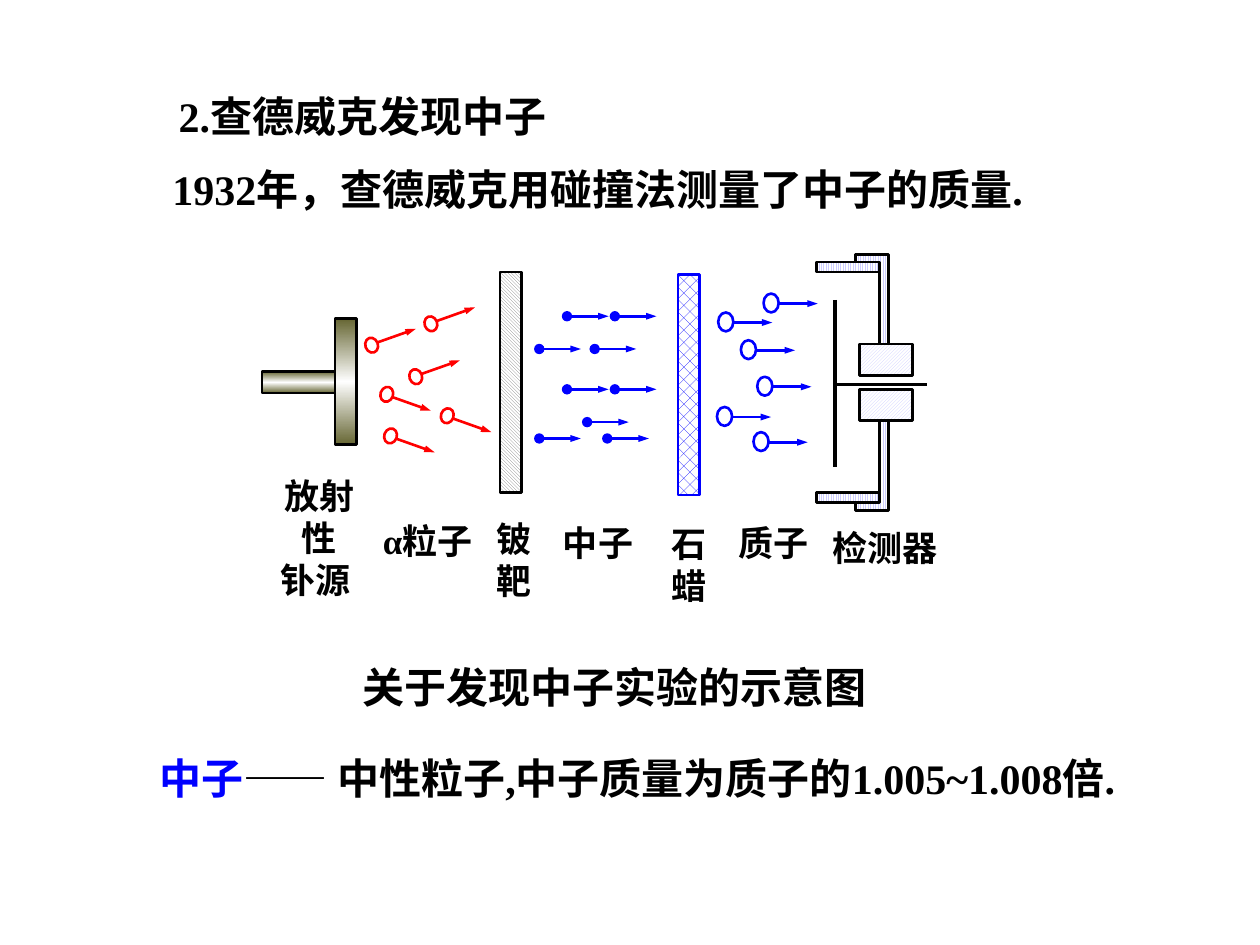
from copy import deepcopy

from pptx import Presentation
from pptx.dml.color import RGBColor
from pptx.enum.dml import MSO_PATTERN as PATTERN
from pptx.enum.shapes import MSO_CONNECTOR, MSO_SHAPE as SHAPE
from pptx.enum.text import MSO_AUTO_SIZE, PP_ALIGN as ALIGN
from pptx.oxml.ns import qn
from pptx.util import Inches, Pt
from lxml.etree import SubElement

BLACK, BLUE, RED = "000000", "0000FF", "FF0000"
color = RGBColor.from_string

presentation = Presentation()
presentation.slide_width, presentation.slide_height = Inches(10), Inches(7.5)
slide = presentation.slides.add_slide(presentation.slide_layouts[6])
shapes = slide.shapes


def style_shape(shape, line_color, pattern=None, foreground=None):
    shape.shadow.inherit = False
    shape.line.color.rgb = color(line_color)
    shape.line.width = Pt(1.5)
    if pattern is None:
        shape.fill.background()
        return
    shape.fill.patterned()
    shape.fill.pattern = pattern
    shape.fill.fore_color.rgb = color(foreground)
    shape.fill.back_color.rgb = color("FFFFFF")


def add_line(start, end, line_color, width=1.5, head=None, tail=None):
    line = shapes.add_connector(MSO_CONNECTOR.STRAIGHT, *map(Inches, start + end))
    line.line.color.rgb = color(line_color)
    line.line.width = Pt(width)
    properties = line._element.spPr
    outline = properties.find(qn("a:ln"))
    if head:
        SubElement(outline, qn("a:headEnd"), type=head)
    if tail:
        SubElement(outline, qn("a:tailEnd"), type=tail, w="sm", len="med")
    SubElement(properties, qn("a:effectLst"))


# Radioactive source: rod and plate with a metallic gradient
for box in [(2.08, 2.95, 0.58, 0.17), (2.66, 2.53, 0.17, 1)]:
    shape = shapes.add_shape(SHAPE.RECTANGLE, *map(Inches, box))
    style_shape(shape, BLACK)
    shape.fill.gradient()
    shape.fill.gradient_angle = 90
    stop_list = shape._element.spPr.find(".//" + qn("a:gsLst"))
    stop_list.insert(1, deepcopy(stop_list[0]))
    stops = zip(shape.fill.gradient_stops, (0, 0.5, 1), ("666633", "FFFFFF", "666633"))
    for stop, position, stop_color in stops:
        stop.position = position
        stop.color.rgb = color(stop_color)

# Beryllium target and paraffin slab
for left, top, line_color, pattern, foreground in [
    (3.97, 2.16, BLACK, PATTERN.LIGHT_DOWNWARD_DIAGONAL, "808080"),
    (5.38, 2.18, BLUE, PATTERN.PERCENT_30, BLUE),
]:
    shape = shapes.add_shape(SHAPE.RECTANGLE, *map(Inches, (left, top, 0.17, 1.75)))
    style_shape(shape, line_color, pattern, foreground)

# Neutrons
for x, y in [(4.88, 2.51), (4.5, 3.09), (4.88, 3.09), (4.66, 3.35), (4.28, 3.48),
             (4.5, 2.51), (4.28, 2.77), (4.72, 2.77), (4.82, 3.48)]:
    add_line((x, y), (x + 0.33, y), BLUE, head="oval", tail="triangle")

# Detector: the lower half mirrors the upper half
add_line((6.61, 3.05), (7.36, 3.05), BLACK)
for mirrored in (False, True):
    for left, top, width, height, pattern in [
        (6.82, 2.73, 0.42, 0.25, PATTERN.LIGHT_UPWARD_DIAGONAL),
        (6.48, 2.08, 0.51, 0.08, PATTERN.LIGHT_VERTICAL),
    ]:
        if mirrored:
            top = 6.07 - top - height
        shape = shapes.add_shape(SHAPE.RECTANGLE, *map(Inches, (left, top, width, height)))
        style_shape(shape, BLACK, pattern, "CCCCFF")
    corners = [(6.79, 2.02), (7.05, 2.02), (7.05, 2.73), (6.98, 2.73), (6.98, 2.08), (6.79, 2.08)]
    points = [(Inches(x), Inches(6.07 - y if mirrored else y)) for x, y in corners]
    builder = shapes.build_freeform(*points[0])
    builder.add_line_segments(points[1:], close=True)
    style_shape(builder.convert_to_shape(), BLACK, PATTERN.LIGHT_VERTICAL, "CCCCFF")
add_line((6.63, 2.38), (6.63, 3.71), BLACK, width=2.25)

# Alpha particles, heading down (1) or up (-1)
for left, top, direction in [(3.02, 3.07, 1), (3.5, 3.24, 1), (2.9, 2.68, -1),
                             (3.37, 2.51, -1), (3.05, 3.4, 1), (3.25, 2.93, -1)]:
    shape = shapes.add_shape(SHAPE.OVAL, *map(Inches, (left, top, 0.1, 0.12)))
    shape.rotation = 19.6 * direction
    style_shape(shape, RED)
    x, y = left + 0.09, top + 0.06 + 0.02 * direction
    add_line((x, y), (x + 0.31, y + 0.11 * direction), RED, tail="triangle")

# Protons
for left, top in [(5.69, 3.23), (6.01, 2.99), (5.88, 2.7), (5.7, 2.48), (6.06, 2.33), (5.98, 3.43)]:
    shape = shapes.add_shape(SHAPE.OVAL, *map(Inches, (left, top, 0.12, 0.15)))
    style_shape(shape, BLUE)
    add_line((left + 0.12, top + 0.08), (left + 0.43, top + 0.08), BLUE, tail="triangle")

# Headings, labels, caption and conclusion: box, size, alignment, paragraphs of runs
texts = [
    ((1.32, 0.67, 3.22, 0.5), 24, ALIGN.LEFT, [[("2.查德威克发现中子", BLACK)]]),
    ((1.27, 1.25, 7.15, 0.5), 24, ALIGN.LEFT, [[("1932年，查德威克用碰撞法测量了中子的质量.", BLACK)]]),
    ((2.12, 3.72, 0.83, 1.1), 20, ALIGN.CENTER,
     [[("放射", BLACK)], [("性", BLACK)], [("钋源 ", BLACK)]]),
    ((2.94, 4.07, 1.01, 0.43), 20, ALIGN.LEFT, [[("α粒子", BLACK)]]),
    ((3.84, 4.06, 0.55, 0.77), 20, ALIGN.LEFT, [[("铍", BLACK)], [("靶", BLACK)]]),
    ((4.37, 4.09, 0.9, 0.43), 20, ALIGN.LEFT, [[("中子", BLACK)]]),
    ((5.23, 4.1, 0.62, 0.77), 20, ALIGN.LEFT, [[("石", BLACK)], [("蜡", BLACK)]]),
    ((5.76, 4.09, 0.9, 0.43), 20, ALIGN.LEFT, [[("质子", BLACK)]]),
    ((6.51, 4.13, 1.18, 0.43), 20, ALIGN.LEFT, [[("检测器", BLACK)]]),
    ((2.78, 5.2, 4.31, 0.5), 24, ALIGN.LEFT, [[("关于发现中子实验的示意图", BLACK)]]),
    ((1.17, 5.92, 8.23, 0.5), 24, ALIGN.LEFT,
     [[("中子", BLUE), ("—— 中性粒子,中子质量为质子的1.005~1.008倍.", BLACK)]]),
]
for box, size, alignment, paragraphs in texts:
    frame = shapes.add_textbox(*map(Inches, box)).text_frame
    frame.word_wrap = False
    frame.auto_size = MSO_AUTO_SIZE.SHAPE_TO_FIT_TEXT
    font_format = {"name": "Times New Roman", "size": Pt(size), "bold": True}
    for index, runs in enumerate(paragraphs):
        paragraph = frame.add_paragraph() if index else frame.paragraphs[0]
        paragraph.alignment = alignment
        for text, text_color in runs:
            run = paragraph.add_run()
            run.text = text
            run.font.color.rgb = color(text_color)
            for attribute, value in font_format.items():
                setattr(run.font, attribute, value)

presentation.save("out.pptx")
